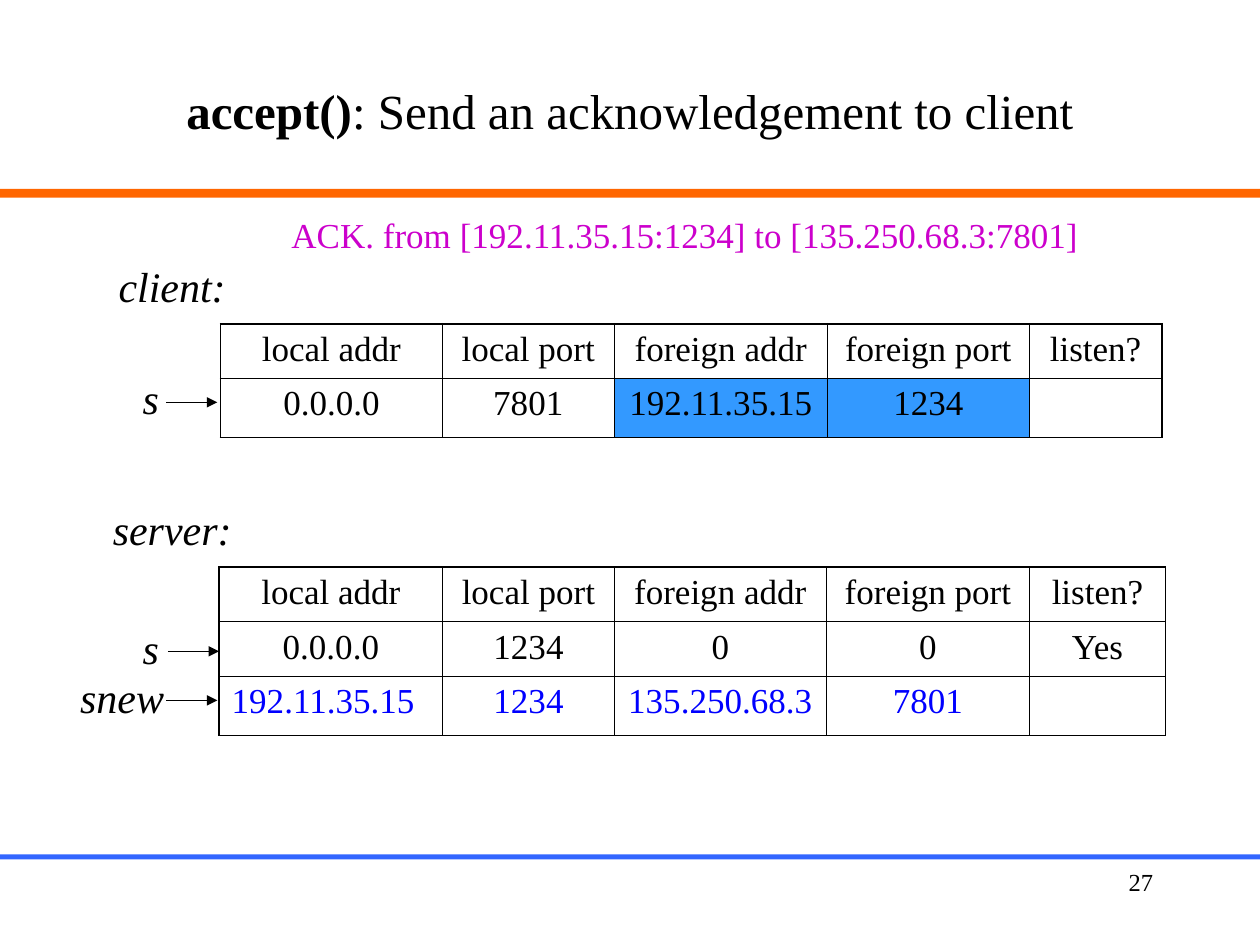
from lxml.etree import SubElement
from pptx import Presentation
from pptx.dml.color import RGBColor
from pptx.enum.shapes import MSO_CONNECTOR, MSO_SHAPE
from pptx.enum.text import MSO_ANCHOR, MSO_AUTO_SIZE, PP_ALIGN as Align
from pptx.oxml.ns import qn
from pptx.util import Pt

FONT = "Times New Roman"
COLORS = {
    "text": "000000",
    "ack": "CC00CC",
    "new": "0000FF",
    "changed": "3399FF",
    "top_bar": "FF6600",
    "bottom_bar": "3366FF",
}
OUTER, INNER = 1.08, 0.45  # table border widths

TITLE = [("accept()", True), (": Send an acknowledgement to client", False)]
ACK = "ACK. from [192.11.35.15:1234] to [135.250.68.3:7801] "
PAGE = "27"
BARS = [("top_bar", 108, 5), ("bottom_bar", 488.2, 2.9)]  # color, top, height

HEADER = ["local addr", "local port", "foreign addr", "foreign port", "listen?"]
SOCKET_TABLES = [
    {
        "at": (126, 185),
        "columns": [126.8, 98.2, 121.8, 115.4, 75.8],
        "rows": [["0.0.0.0", "7801", "192.11.35.15", "1234", ""]],
        "filled": {(1, 2), (1, 3)},
        "new_rows": set(),
    },
    {
        "at": (125.2, 324),
        "columns": [127.8, 98, 121.2, 116.2, 77.6],
        "rows": [
            ["0.0.0.0", "1234", "0", "0", "Yes"],
            ["192.11.35.15", "1234", "135.250.68.3", "7801", ""],
        ],
        "filled": set(),
        "new_rows": {2},
    },
]
ROW_HEIGHT, LAST_ROW_HEIGHT = 31.1, 33.8

# text, left, top, width
LABELS = [
    ("client:", 60.5, 145.4, 75.8),
    ("server:", 56.4, 284.4, 84),
    ("s", 74.2, 209.5, 23.8),
    ("s", 74.2, 352.1, 23.8),
    ("snew", 37.8, 380.2, 64),
]
ARROWS = [(95, 229.9), (96, 372.2), (95, 400.2)]  # left, y
ARROW_LENGTH = 29.2


def rgb(name):
    return RGBColor.from_string(COLORS[name])


def style(paragraph, size, color="text", align=Align.CENTER, italic=False):
    paragraph.alignment = align
    for run in paragraph.runs:
        run.font.name = FONT
        run.font.size = Pt(size)
        run.font.italic = italic
        run.font.color.rgb = rgb(color)


def add_text(slide, text, box, size, wrap=True, **look):
    frame = slide.shapes.add_textbox(*map(Pt, box)).text_frame
    frame.word_wrap = wrap
    if not wrap:
        frame.auto_size = MSO_AUTO_SIZE.SHAPE_TO_FIT_TEXT
    frame.text = text
    style(frame.paragraphs[0], size, **look)
    return frame


def add_title(slide):
    frame = add_text(slide, "", (54, 18, 612, 90), 28)
    frame.vertical_anchor = MSO_ANCHOR.MIDDLE
    paragraph = frame.paragraphs[0]
    for text, bold in TITLE:
        run = paragraph.add_run()
        run.text = text
        run.font.bold = bold
    style(paragraph, 28)


def add_bar(slide, color, top, height):
    bar = slide.shapes.add_shape(MSO_SHAPE.RECTANGLE, 0, Pt(top), Pt(720), Pt(height))
    bar.shadow.inherit = False
    bar.fill.solid()
    bar.fill.fore_color.rgb = rgb(color)
    bar.line.fill.background()


def add_arrow(slide, left, y):
    arrow = slide.shapes.add_connector(
        MSO_CONNECTOR.STRAIGHT, Pt(left), Pt(y), Pt(left + ARROW_LENGTH), Pt(y))
    arrow.line.width = Pt(0.75)
    arrow.line.color.rgb = rgb("text")
    SubElement(arrow.line._get_or_add_ln(), qn("a:tailEnd"), type="triangle")
    SubElement(arrow._element.spPr, qn("a:effectLst"))


def set_borders(cell, widths):
    """Draw the left, right, top and bottom border in the given widths."""
    properties = cell._tc.get_or_add_tcPr()
    for side, width in zip("LRTB", widths):
        line = SubElement(properties, qn(f"a:ln{side}"), w=str(Pt(width)))
        fill = SubElement(line, qn("a:solidFill"))
        SubElement(fill, qn("a:srgbClr"), val=COLORS["text"])


def add_socket_table(slide, content):
    rows = [HEADER] + content["rows"]
    columns = content["columns"]
    last_row, last_col = len(rows) - 1, len(columns) - 1
    heights = [ROW_HEIGHT] * last_row + [LAST_ROW_HEIGHT]
    table = slide.shapes.add_table(
        len(rows), len(columns), *map(Pt, content["at"]),
        Pt(sum(columns)), Pt(sum(heights))).table
    for column, width in zip(table.columns, columns):
        column.width = Pt(width)
    for row, height in zip(table.rows, heights):
        row.height = Pt(height)

    for r, values in enumerate(rows):
        for c, value in enumerate(values):
            cell = table.cell(r, c)
            on_edge = (c == 0, c == last_col, r == 0, r == last_row)
            set_borders(cell, [OUTER if edge else INNER for edge in on_edge])
            if (r, c) in content["filled"]:
                cell.fill.solid()
                cell.fill.fore_color.rgb = rgb("changed")
            else:
                cell.fill.background()
            is_new = r in content["new_rows"]
            cell.text_frame.text = value
            paragraph = cell.text_frame.paragraphs[0]
            paragraph.space_before = Pt(5)
            style(paragraph, 20, "new" if is_new else "text",
                  Align.LEFT if is_new and c == 0 else Align.CENTER)


def main():
    deck = Presentation()
    deck.slide_width, deck.slide_height = Pt(720), Pt(540)
    slide = deck.slides.add_slide(deck.slide_layouts[6])

    for bar in BARS:
        add_bar(slide, *bar)
    add_text(slide, PAGE, (516.2, 491.8, 149.8, 36), 14, align=Align.RIGHT)
    add_title(slide)
    for content in SOCKET_TABLES:
        add_socket_table(slide, content)
    add_text(slide, ACK, (141.1, 118.4, 505.4, 31.7), 20, color="ack")
    for text, left, top, width in LABELS:
        add_text(slide, text, (left, top, width, 36), 24, wrap=False, italic=True)
    for arrow in ARROWS:
        add_arrow(slide, *arrow)

    deck.save("out.pptx")


if __name__ == "__main__":
    main()
